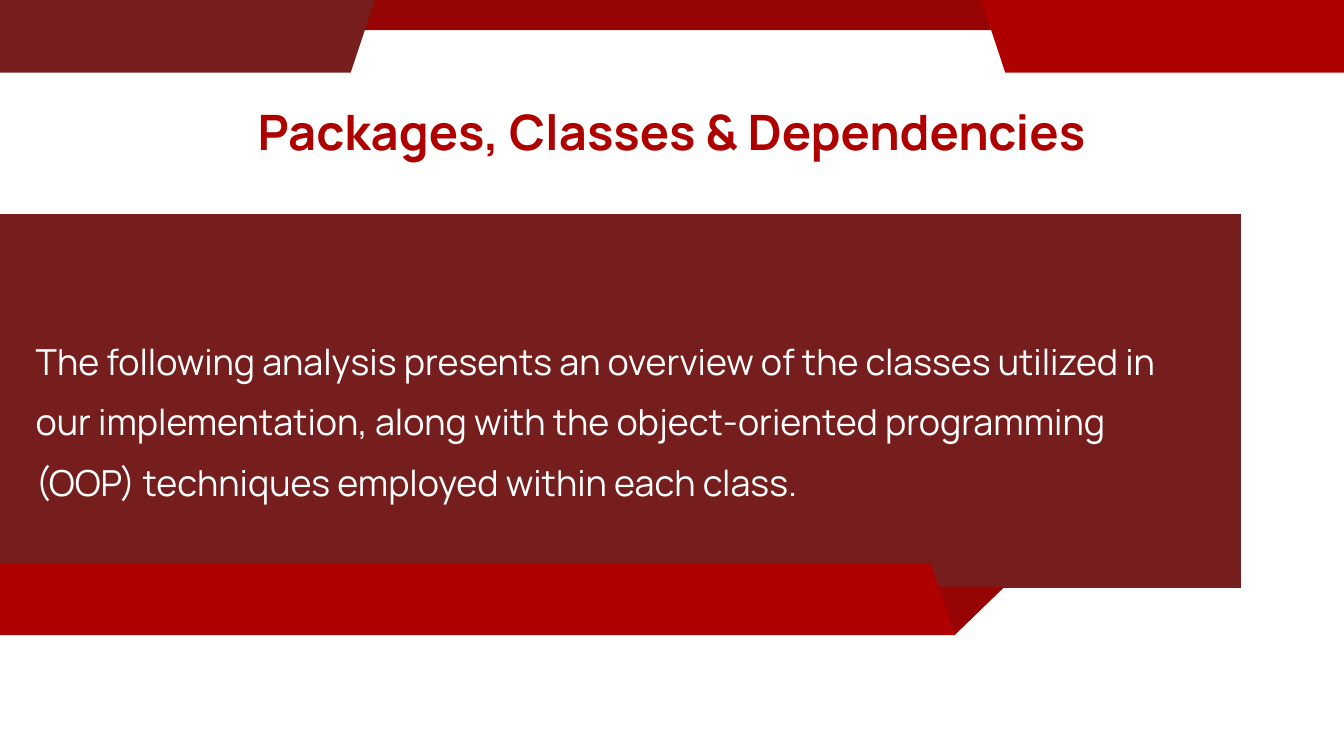
from pptx import Presentation
from pptx.dml.color import RGBColor
from pptx.enum.shapes import MSO_SHAPE
from pptx.enum.text import MSO_ANCHOR, MSO_AUTO_SIZE, PP_ALIGN
from pptx.util import Pt

RECTANGLE = MSO_SHAPE.RECTANGLE
TOP = MSO_ANCHOR.TOP
NO_AUTOFIT = MSO_AUTO_SIZE.NONE
LEFT, CENTER = PP_ALIGN.LEFT, PP_ALIGN.CENTER

MAROON = RGBColor(0x76, 0x1E, 0x1E)
DARK_RED = RGBColor(0x96, 0x04, 0x04)
RED = RGBColor(0xAF, 0x00, 0x00)
WHITE = RGBColor(0xFF, 0xFF, 0xFF)
FONT = "Manrope"


def paint(sp, color):
    sp.shadow.inherit = False
    sp.fill.solid()
    sp.fill.fore_color.rgb = color
    sp.line.fill.background()


def write(sp, text, *, box, size, color, spacing, align=LEFT, bold=False):
    sp.left, sp.top, sp.width, sp.height = [Pt(v) for v in box]
    tf = sp.text_frame
    tf.word_wrap = True
    tf.auto_size = NO_AUTOFIT
    tf.vertical_anchor = TOP
    tf.margin_left = tf.margin_top = tf.margin_right = tf.margin_bottom = 0
    p = tf.paragraphs[0]
    p.alignment = align
    p.line_spacing = spacing
    r = p.add_run()
    r.text = text
    r.font.name = FONT
    r.font.size = Pt(size)
    r.font.bold = bold
    r.font.color.rgb = color


prs = Presentation()
prs.slide_width, prs.slide_height = Pt(1440), Pt(810)
s = prs.slides.add_slide(prs.slide_layouts[5])
s.background.fill.solid()
s.background.fill.fore_color.rgb = WHITE

# Main panel and the strip along the top edge
bars = [
    ((-30, 229.5, 1359.5, 400.5), MAROON),
    ((254, -21.6, 900, 54), DARK_RED),
]
for box, color in bars:
    sp = s.shapes.add_shape(RECTANGLE, *[Pt(v) for v in box])
    paint(sp, color)

# Ribbon fold, ribbon, and the two slanted top corners
outlines = [
    ([(1023, 680.4), (1076.5, 628.6), (969.8, 628.6)], DARK_RED),
    ([(997.2, 603.4), (-30, 603.4), (-4.3, 680.4), (1023, 680.4)], RED),
    ([(-10, -13), (406, -13), (375.8, 77.8), (-40.3, 77.8)], MAROON),
    ([(1450, -13), (1046.9, -13), (1077.1, 77.8), (1480.3, 77.8)], RED),
]
for points, color in outlines:
    corners = [(Pt(x), Pt(y)) for x, y in points]
    builder = s.shapes.build_freeform(*corners[0])
    builder.add_line_segments(corners[1:], close=True)
    paint(builder.convert_to_shape(), color)

write(s.shapes.title, "Packages, Classes & Dependencies",
      box=(218.2, 95, 1003, 67), size=52.3, color=RED,
      spacing=1.22, align=CENTER, bold=True)
write(s.shapes.add_textbox(0, 0, 0, 0),
      "The following analysis presents an overview of the classes utilized in "
      "our implementation, along with the object-oriented programming (OOP) "
      "techniques employed within each class.",
      box=(38.2, 345.6, 1223.3, 177), size=38.4, color=WHITE, spacing=1.4)

prs.save("out.pptx")
